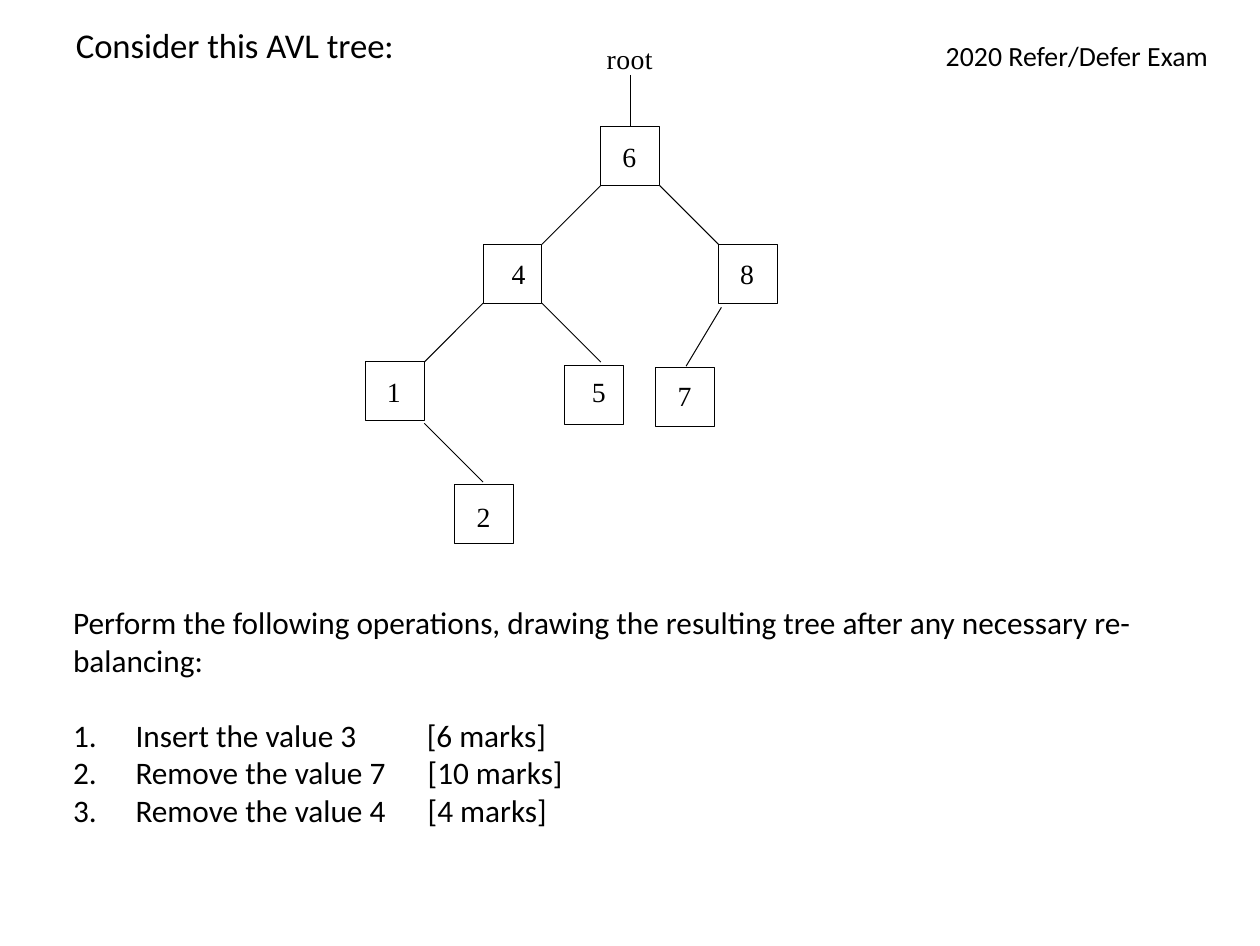
from lxml.etree import SubElement as sub
from pptx import Presentation
from pptx.dml.color import RGBColor
from pptx.enum.shapes import MSO_CONNECTOR as Conn, MSO_SHAPE as Kind
from pptx.oxml.ns import qn
from pptx.util import Pt

INK = "000000"
SANS, SERIF = "Calibri", "Times New Roman"
THIN = 0.28
SIDE = 16.95

NODES = [
    ("6", 4, 0, 6.2, 3.8),
    ("4", 2, 2, 8.2, 3.7),
    ("8", 6, 2, 6.2, 3.7),
    ("1", 0, 4, 6.2, 3.6),
    ("5", 3.38, 4.06, 7.9, 2.6),
    ("7", 4.93, 4.09, 6.4, 3.4),
    ("2", 1.51, 6.08, 6.4, 4.3),
]
EDGES = [
    (4.5, -0.88, 4.5, 0),
    (4, 1, 3, 2),
    (5, 1, 6, 2),
    (2, 3, 1, 4),
    (3, 3, 4, 4),
    (6.05, 3.07, 5.45, 4.07),
    (1, 5.04, 2, 6.04),
]
TASKS = [
    ("Insert the value 3", "[6 marks]", 18.3),
    ("Remove the value 7", "[10 marks]", 10.15),
    ("Remove the value 4", "[4 marks]", 10.15),
]


def paint(tint, code):
    tint.rgb = RGBColor.from_string(code)


def add_run(par, words, size, font=SANS, space=0):
    run = par.add_run()
    run.text = words
    run.font.size = Pt(size)
    run.font.name = font
    paint(run.font.color, INK)
    if space:
        run.font._element.set("spc", str(round(space * 100)))


def add_text(slide, box, words, size=8, font=SANS, wrap=True, inset=True, space=0):
    frame = slide.shapes.add_textbox(*map(Pt, box)).text_frame
    frame.word_wrap = wrap
    if not inset:
        frame.margin_left = frame.margin_right = 0
        frame.margin_top = frame.margin_bottom = 0
    add_run(frame.paragraphs[0], words, size, font, space)
    return frame


def add_node(slide, left, top):
    node = slide.shapes.add_shape(Kind.RECTANGLE, *map(Pt, (left, top, SIDE, SIDE)))
    node.shadow.inherit = False
    node.fill.background()
    paint(node.line.color, INK)
    node.line.width = Pt(THIN)


def add_edge(slide, ends):
    edge = slide.shapes.add_connector(Conn.STRAIGHT, *map(Pt, ends))
    paint(edge.line.color, INK)
    edge.line.width = Pt(THIN)
    sub(edge._element.spPr, qn("a:effectLst"))


def add_head(slide, left, top):
    add_text(slide, (left, top, 110.2, 19.4), "Consider this AVL tree:", size=10, wrap=False)
    add_text(slide, (left + 250.6, top + 4.3, 91.4, 17.3), "2020 Refer/Defer Exam", wrap=False)


def add_tree(slide, left, top):
    for x1, y1, x2, y2 in EDGES:
        add_edge(slide, (left + x1 * SIDE, top + y1 * SIDE,
                         left + x2 * SIDE, top + y2 * SIDE))
    for key, col, row, dx, dy in NODES:
        x, y = left + col * SIDE, top + row * SIDE
        add_node(slide, x, y)
        add_text(slide, (x + dx, y + dy, 6.5, 10), key, font=SERIF, inset=False)
    add_text(slide, (left + 69.5, top - 24.6, 16, 10), "root",
             font=SERIF, wrap=False, inset=False, space=0.1)


def add_tasks(slide, box):
    size = 9
    frame = add_text(slide, box, "Perform the following operations, drawing the resulting "
                     "tree after any necessary re-balancing:", size=size)
    for i, (task, marks, gap) in enumerate(TASKS):
        par = frame.add_paragraph()
        if i == 0:
            par.space_before = Pt(10.8)
        props = par._p.get_or_add_pPr()
        props.set("marL", str(Pt(18)))
        props.set("indent", str(-Pt(18)))
        sub(props, qn("a:buFont")).set("typeface", "+mj-lt")
        sub(props, qn("a:buAutoNum")).set("type", "arabicPeriod")
        add_run(par, task, size)
        add_run(par, " ", size, space=gap)
        add_run(par, marks, size)


def main():
    deck = Presentation()
    deck.slide_width, deck.slide_height = Pt(363), Pt(272.5)
    slide = deck.slides.add_slide(deck.slide_layouts[6])
    add_head(slide, 14.8, 3.2)
    add_tree(slide, 105.3, 36.5)
    add_tasks(slide, (14, 170.2, 319.7, 72.7))
    deck.save("out.pptx")


if __name__ == "__main__":
    main()
